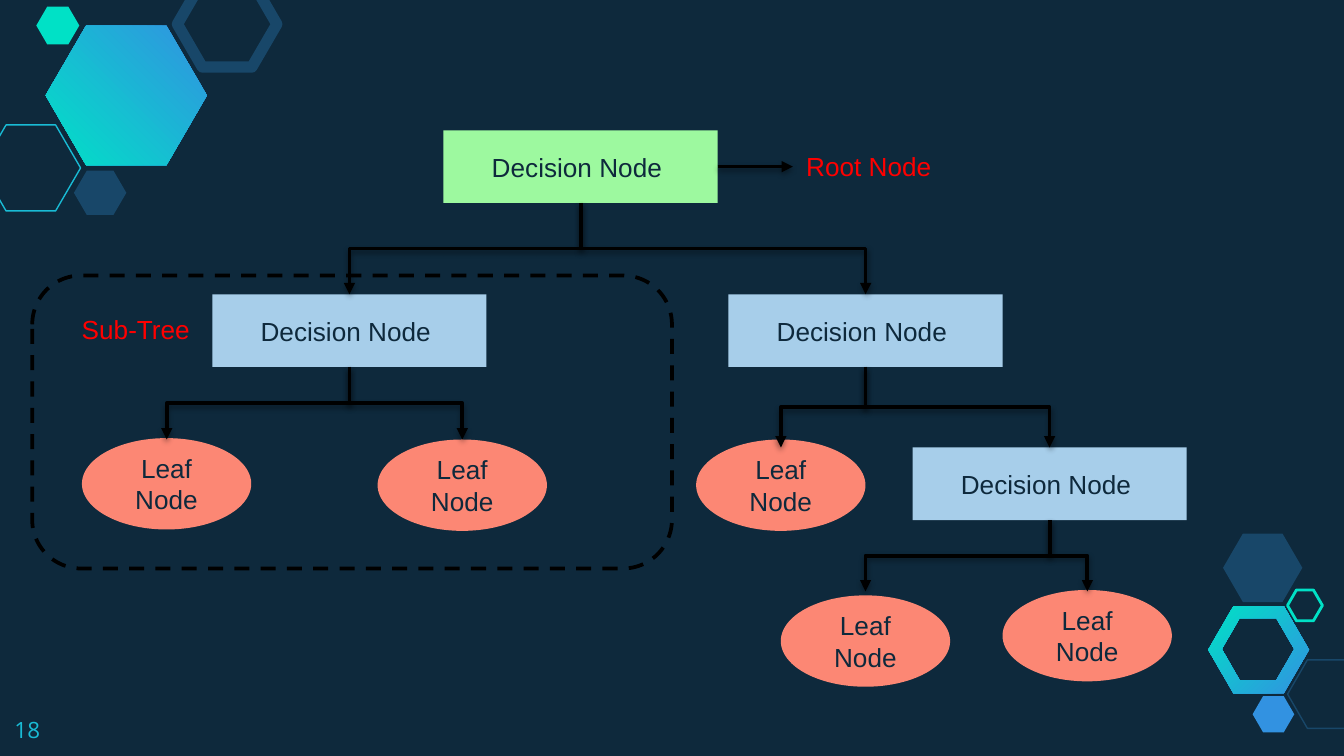
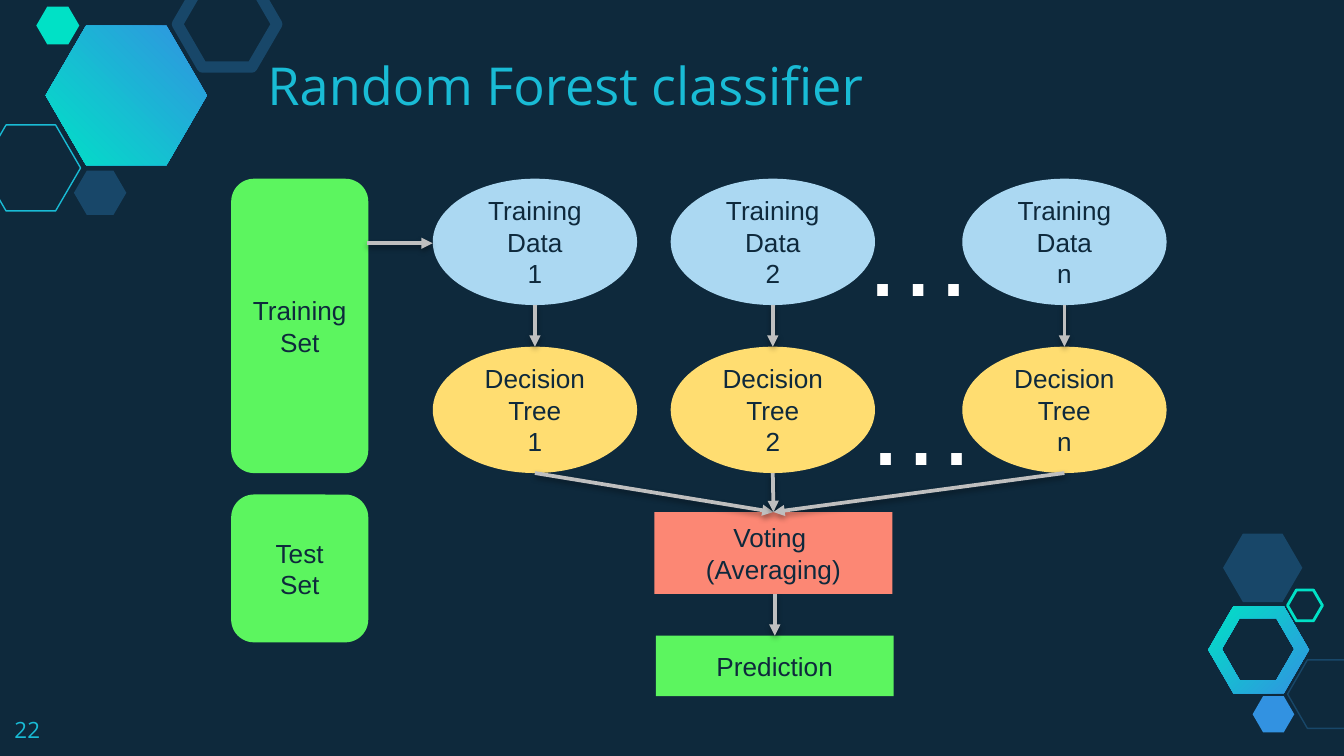
from dataclasses import dataclass
from lxml import etree
from pptx import Presentation
from pptx.dml.color import RGBColor as RGB
from pptx.enum.dml import MSO_LINE_DASH_STYLE as Dash
from pptx.enum.shapes import MSO_CONNECTOR as Wire, MSO_SHAPE as Kind
from pptx.enum.text import MSO_ANCHOR as Anchor, MSO_AUTO_SIZE as Fit, PP_ALIGN as Align
from pptx.oxml import parse_xml
from pptx.oxml.ns import nsdecls, qn
from pptx.util import Inches, Pt


@dataclass(frozen=True)
class Theme:
    back: str = "0E293C"
    ink: str = "0E293C"
    cyan: str = "19BBD5"
    navy: str = "184769"
    teal: str = "00E1C6"
    blue: str = "3292E1"
    mint: str = "9DF99F"
    green: str = "5CF55F"
    sky: str = "A7CEEA"
    pale: str = "ABD8F2"
    gold: str = "FFDD71"
    coral: str = "FC8774"
    red: str = "FF0000"
    black: str = "000000"
    white: str = "FFFFFF"
    gray: str = "BFBFBF"
    head: str = "Open Sans"
    body: str = "Arial"
    title: int = 28
    text: int = 14
    page: int = 12
    dots: int = 60


T = Theme()
ROUND = Kind.FLOWCHART_ALTERNATE_PROCESS
BOX = (2.04, 0.54)
LEAF = (1.26, 0.68)
OVAL = (1.52, 0.94)


def color(code):
    return RGB.from_string(code)


def write(frame, text, size, code, face, align=Align.LEFT):
    frame.word_wrap = True
    frame.text = text
    for para in frame.paragraphs:
        para.alignment = align
        para.font.size = Pt(size)
        para.font.name = face
        para.font.color.rgb = color(code)


def pad(frame):
    frame.margin_left = frame.margin_right = Inches(0.1)
    frame.margin_top = frame.margin_bottom = Inches(0.1)


def paint(shape, fill=None, line=None, width=0):
    shape.shadow.inherit = False
    if fill:
        shape.fill.solid()
        shape.fill.fore_color.rgb = color(fill)
    else:
        shape.fill.background()
    if line:
        shape.line.color.rgb = color(line)
        shape.line.width = Pt(width)
    else:
        shape.line.fill.background()


def blend(shape, angle):
    paint(shape)
    shape.fill.gradient()
    shape.fill.gradient_angle = angle
    for stop, code in zip(shape.fill.gradient_stops, (T.blue, T.teal)):
        stop.color.rgb = color(code)


def place(slide, kind, left, top, size):
    return slide.shapes.add_shape(kind, *map(Inches, (left, top, *size)))


def node(slide, kind, left, top, size, fill, text):
    shape = place(slide, kind, left, top, size)
    paint(shape, fill)
    shape.text_frame.vertical_anchor = Anchor.MIDDLE
    write(shape.text_frame, text, T.text, T.ink, T.body, Align.CENTER)
    return shape


def label(slide, left, top, size, text, points, code, face=T.body):
    box = slide.shapes.add_textbox(*map(Inches, (left, top, *size)))
    write(box.text_frame, text, points, code, face)
    return box.text_frame


def hexa(slide, left, top, width, height):
    shape = place(slide, Kind.HEXAGON, left, top, (width, height))
    shape.adjustments[0] = 0.29
    return shape


def loop(left, top, width, height):
    mid, low, right = top + height / 2, top + height, left + width
    cut = 0.29 * height
    points = [(left, mid), (left + cut, top), (right - cut, top),
              (right, mid), (right - cut, low), (left + cut, low)]
    return [(Inches(x), Inches(y)) for x, y in points]


def ring(slide):
    outer = loop(8.99, 4.51, 0.75, 0.65)
    inner = loop(9.09, 4.6, 0.54, 0.46)[::-1]
    build = slide.shapes.build_freeform(*outer[0])
    build.add_line_segments(outer[1:], close=True)
    build.move_to(*inner[0])
    build.add_line_segments(inner[1:], close=True)
    blend(build.convert_to_shape(), 135)


def decor(slide):
    ring(slide)
    blend(hexa(slide, 0.34, 0.19, 1.2, 1.04), 225)
    for spot, fill, line, width in (
        ((-0.14, 0.93, 0.74, 0.64), None, T.cyan, 0.75),
        ((0.55, 1.27, 0.39, 0.33), T.navy, None, 0),
        ((1.32, -0.14, 0.74, 0.64), None, T.navy, 6),
        ((0.27, 0.05, 0.32, 0.28), T.teal, None, 0),
        ((9.58, 4.91, 0.59, 0.51), None, T.navy, 0.75),
        ((9.32, 5.18, 0.31, 0.27), T.blue, None, 0),
        ((9.1, 3.97, 0.59, 0.51), T.navy, None, 0),
        ((9.58, 4.39, 0.26, 0.23), None, T.teal, 1.5),
    ):
        paint(hexa(slide, *spot), fill, line, width)


def share(deck, layout):
    fill = deck.slide_master.background.fill
    fill.solid()
    fill.fore_color.rgb = color(T.back)
    slide = deck.slides.add_slide(layout)
    decor(slide)
    for shape in list(slide.shapes):
        if not shape.is_placeholder:
            layout.shapes.element.append(shape.element)
    return slide


def number(slide, text):
    pad(label(slide, 0.01, 5.23, (0.6, 0.39), text, T.page, T.cyan, T.head))


def finish(wire, code):
    wire.line.color.rgb = color(code)
    wire.line.width = Pt(2)
    line = wire.element.spPr.find(qn("a:ln"))
    etree.SubElement(line, qn("a:tailEnd"), type="triangle")
    wire.element.spPr.append(parse_xml(
        f'<a:effectLst {nsdecls("a")}><a:outerShdw blurRad="{Pt(3.1)}" '
        f'dist="{Pt(1.6)}" dir="5400000" rotWithShape="0">'
        '<a:srgbClr val="000000"><a:alpha val="38000"/></a:srgbClr>'
        '</a:outerShdw></a:effectLst>'))


def arrow(slide, start, end, code):
    wire = slide.shapes.add_connector(Wire.STRAIGHT, *start, *end)
    finish(wire, code)


def top(shape):
    return shape.left + shape.width // 2, shape.top


def base(shape):
    return shape.left + shape.width // 2, shape.top + shape.height


def branch(slide, parent, child, tip):
    (x1, y1), (x2, y2) = base(parent), (top(child)[0], Inches(tip))
    midx, midy = (x1 + x2) // 2, (y1 + y2) // 2
    wide, high = (y2 - y1) // 2, abs(x2 - x1) // 2
    left = x2 < x1
    side = wide if left else -wide
    wire = slide.shapes.add_connector(
        Wire.ELBOW, midx - side, midy - high, midx + side, midy + high)
    wire.element.spPr.xfrm.set("rot", str((90 if left else 270) * 60000))
    finish(wire, T.black)


def tree(slide):
    def choice(left, top, fill=T.sky):
        return node(slide, Kind.RECTANGLE, left, top, BOX, fill, "Decision Node ")

    def leaf(left, top):
        return node(slide, Kind.OVAL, left, top, LEAF, T.coral, "Leaf Node")

    root = choice(3.3, 0.97, T.mint)
    west, east = choice(1.58, 2.19), choice(5.42, 2.19)
    frame = place(slide, ROUND, 0.24, 2.05, (4.76, 2.18))
    paint(frame, None, T.black, 2)
    frame.line.dash_style = Dash.DASH
    leaves = [leaf(*spot) for spot in (
        (0.61, 3.26), (2.81, 3.27), (5.18, 3.27), (5.81, 4.43), (7.46, 4.39))]
    south = choice(6.79, 3.33)
    for parent, pair, tip in (
        (root, (east, west), 2.19),
        (east, (south, leaves[2]), 3.33),
        (west, leaves[:2], 3.27),
        (south, leaves[3:], 4.4),
    ):
        for child in pair:
            branch(slide, parent, child, tip)
    arrow(slide, (Inches(5.34), Inches(1.24)), (Inches(5.9), Inches(1.24)), T.black)
    for left, high, wide, text in ((5.9, 1.07, 1.36, "Root Node"),
                                   (0.51, 2.28, 1.06, "Sub-Tree")):
        note = label(slide, left, high, (wide, 0.34), text, T.text, T.red)
        note.auto_size = Fit.SHAPE_TO_FIT_TEXT


def heading(slide, text):
    title = slide.shapes.title
    title.left, title.top, title.width, title.height = map(Inches, (1.89, 0.25, 6.84, 0.71))
    frame = title.text_frame
    frame.auto_size = Fit.NONE
    frame.vertical_anchor = Anchor.BOTTOM
    pad(frame)
    write(frame, text, T.title, T.cyan, T.head)


def forest(slide):
    heading(slide, "Random Forest classifier ")
    node(slide, ROUND, 1.72, 1.33, (1.02, 2.19), T.green, "Training\nSet")
    node(slide, ROUND, 1.72, 3.68, (1.02, 1.1), T.green, "Test\nSet")
    vote = node(slide, Kind.RECTANGLE, 4.87, 3.81, (1.77, 0.61), T.coral, "Voting \n(Averaging)")
    result = node(slide, Kind.RECTANGLE, 4.88, 4.73, (1.77, 0.45), T.green, "Prediction")
    for left, mark in ((3.22, "1"), (4.99, "2"), (7.16, "n")):
        data = node(slide, Kind.OVAL, left, 1.33, OVAL, T.pale, f"Training\nData\n{mark}")
        plan = node(slide, Kind.OVAL, left, 2.58, OVAL, T.gold, f"Decision\nTree\n{mark}")
        arrow(slide, base(data), top(plan), T.gray)
        arrow(slide, base(plan), top(vote), T.gray)
    for left, high in ((6.32, 1.32), (6.34, 2.58)):
        dots = label(slide, left, high, (0.64, 1.11), "…", T.dots, T.white)
        dots.auto_size = Fit.SHAPE_TO_FIT_TEXT
    arrow(slide, (top(result)[0], base(vote)[1]), top(result), T.gray)
    arrow(slide, (Inches(2.73), Inches(1.81)), (Inches(3.22), Inches(1.81)), T.gray)


def main():
    deck = Presentation()
    deck.slide_width = Inches(10)
    deck.slide_height = deck.slide_width * 9 // 16
    layout = deck.slide_layouts[5]
    first = share(deck, layout)
    title = first.shapes.title.element
    title.getparent().remove(title)
    number(first, "18")
    tree(first)
    second = deck.slides.add_slide(layout)
    number(second, "22")
    forest(second)
    deck.save("out.pptx")


main()
